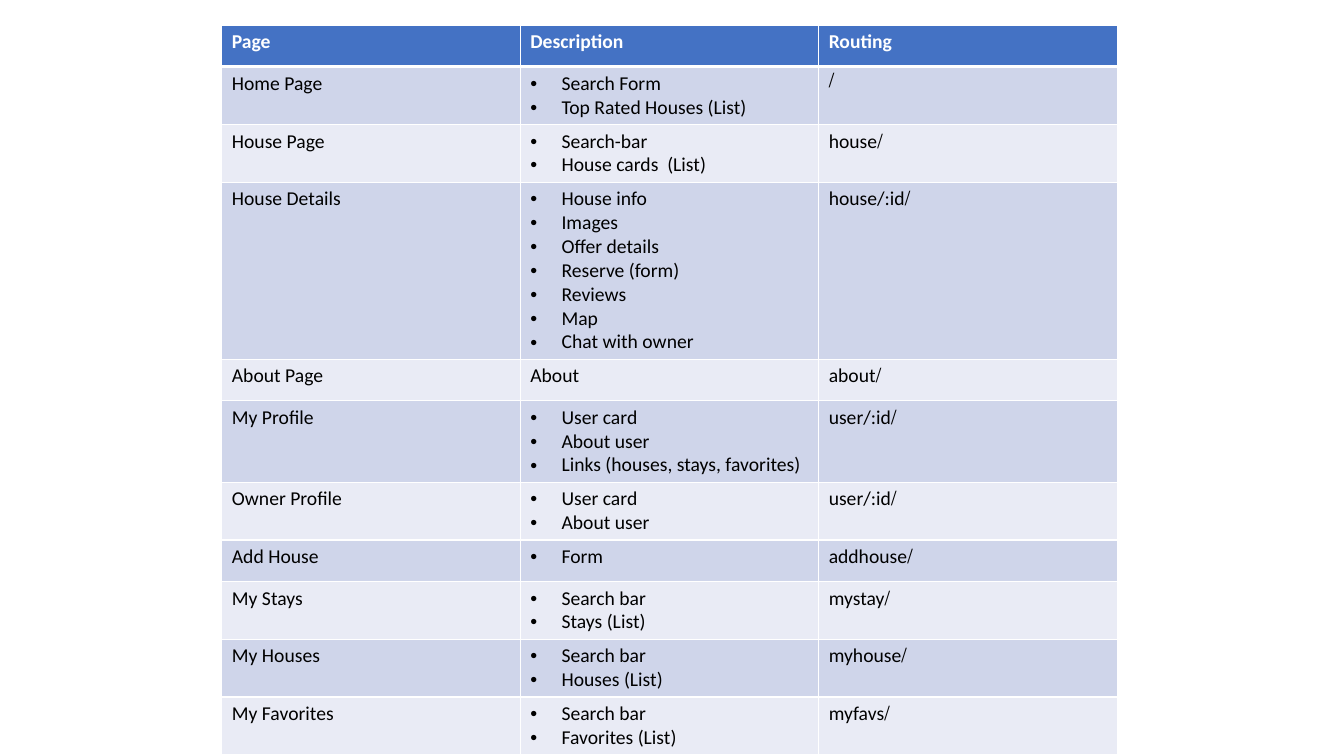
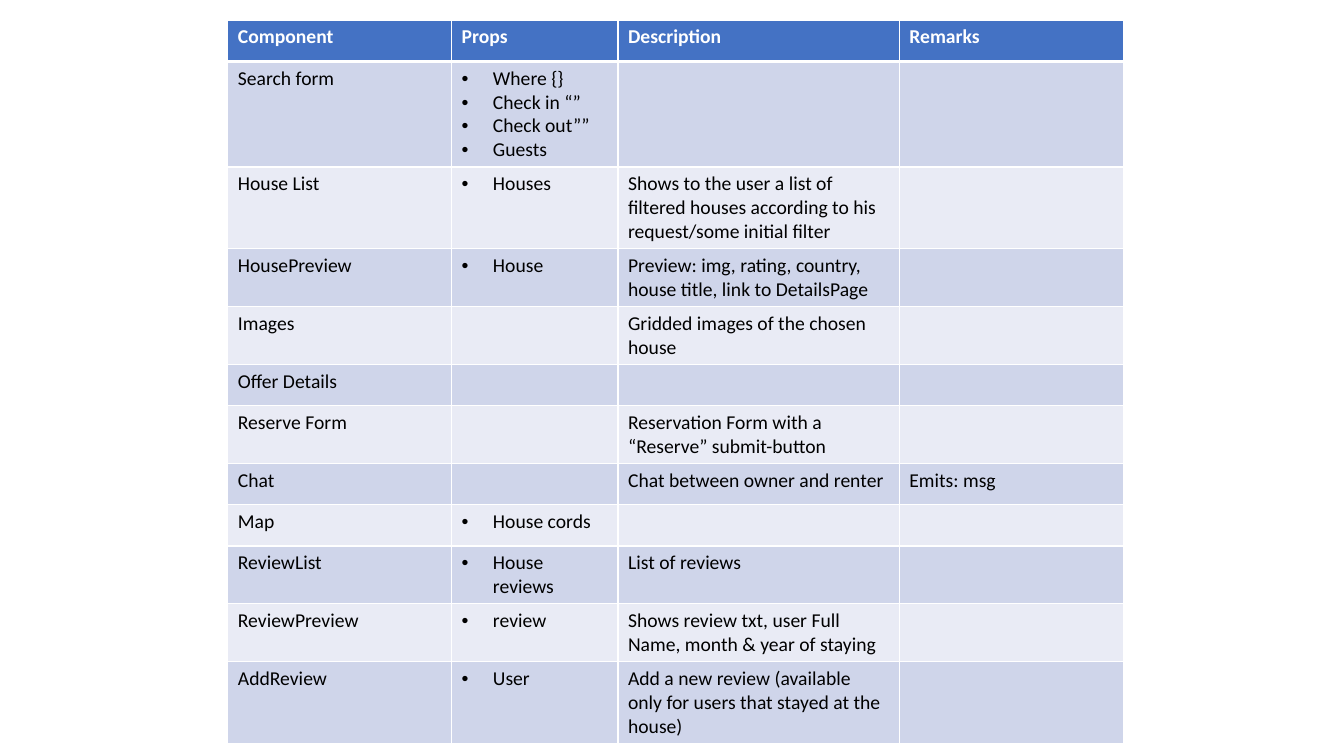
import pptx
import pptx.dml.color
import pptx.enum.text
import pptx.oxml
import pptx.oxml.ns
import pptx.util
from pptx.dml.color import RGBColor
from pptx.util import Inches

WHITE = RGBColor(0xFF, 0xFF, 0xFF)
BLACK = RGBColor(0x00, 0x00, 0x00)
HEADER_BLUE = RGBColor(0x44, 0x72, 0xC4)
BAND_DARK = RGBColor(0xCF, 0xD5, 0xEA)
BAND_LIGHT = RGBColor(0xE9, 0xEB, 0xF5)

ROW_HEIGHT = 0.41
BULLET_INDENT = Inches(0.31)

PAGE_ROWS = [
    ("Page", "Description", "Routing"),
    ("Home Page", ["Search Form", "Top Rated Houses (List)"], "/"),
    ("House Page", ["Search-bar", "House cards  (List)"], "/house"),
    ("House Details",
     ["House info", "Images", "Offer details", "Reserve (form)", "Reviews",
      "Map", "Chat with owner"],
     "/house/:id"),
    ("About Page", "About", "/about"),
    ("My Profile",
     ["User card", "About user", "Links (houses, stays, favorites)"],
     "/user/:id"),
    ("Owner Profile", ["User card", "About user"], "/user/:id"),
    ("Add House", ["Form"], "/addhouse"),
    ("My Stays", ["Search bar", "Stays (List)"], "/mystay"),
    ("My Houses", ["Search bar", "Houses (List)"], "/myhouse"),
    ("My Favorites", ["Search bar", "Favorites (List)"], "/myfavs"),
]

COMPONENT_ROWS = [
    ("Component", "Props", "Description", "Remarks"),
    ("Search form",
     ["Where {}", "Check in “”", "Check out””", "Guests"], "", ""),
    ("House List", ["Houses"],
     "Shows to the user a list of filtered houses according to his "
     "request/some initial filter", ""),
    ("HousePreview", ["House"],
     "Preview: img, rating, country, house title, link to DetailsPage", ""),
    ("Images", "", "Gridded images of the chosen house", ""),
    ("Offer Details", "", "", ""),
    ("Reserve Form", "",
     "Reservation Form with a “Reserve” submit-button", ""),
    ("Chat", "", "Chat between owner and renter", "Emits: msg"),
    ("Map", ["House cords"], "", ""),
    ("ReviewList", ["House reviews"], "List of reviews", ""),
    ("ReviewPreview", ["review"],
     "Shows review txt, user Full Name, month & year of staying", ""),
    ("AddReview", ["User"],
     "Add a new review (available only for users that stayed at the house)",
     ""),
]


class SpecDeck:
    body_format = {"name": "Calibri", "size": pptx.util.Pt(14), "bold": False}
    header_format = {**body_format, "bold": True}

    def __init__(self):
        self.presentation = pptx.Presentation()
        self.presentation.slide_width = Inches(13.33)
        self.presentation.slide_height = Inches(7.5)
        self.slide = None

    def add_slide(self):
        blank_layout = self.presentation.slide_layouts[6]
        self.slide = self.presentation.slides.add_slide(blank_layout)

    def add_spec_table(self, left, top, widths, rows):
        table = self.slide.shapes.add_table(
            len(rows), len(widths), Inches(left), Inches(top),
            Inches(sum(widths)), Inches(ROW_HEIGHT * len(rows))).table
        for column, width in zip(table.columns, widths):
            column.width = Inches(width)
        for row_index, contents in enumerate(rows):
            for column_index, content in enumerate(contents):
                self.fill_cell(table.cell(row_index, column_index),
                               content, row_index)

    def fill_cell(self, cell, content, row_index):
        is_header = row_index == 0
        self.set_borders(cell, {
            "L": 1, "R": 1,
            "T": 3 if row_index == 1 else 1,
            "B": 3 if is_header else 1,
        })
        band = BAND_DARK if row_index % 2 else BAND_LIGHT
        cell.fill.solid()
        cell.fill.fore_color.rgb = HEADER_BLUE if is_header else band
        if not content:
            return
        bulleted = isinstance(content, list)
        lines = content if bulleted else [content]
        for line_index, line in enumerate(lines):
            paragraph = (cell.text_frame.add_paragraph() if line_index
                         else cell.text_frame.paragraphs[0])
            self.write_line(paragraph, line, bulleted, is_header)

    def write_line(self, paragraph, line, bulleted, is_header):
        paragraph.alignment = pptx.enum.text.PP_ALIGN.LEFT
        properties = paragraph._p.get_or_add_pPr()
        if bulleted:
            properties.set("marL", str(BULLET_INDENT))
            properties.set("indent", str(-BULLET_INDENT))
            bullet_font = properties.makeelement(
                pptx.oxml.ns.qn("a:buFont"), {"typeface": "Arial"})
            bullet = properties.makeelement(
                pptx.oxml.ns.qn("a:buChar"), {"char": "•"})
            properties.extend([bullet_font, bullet])
        else:
            properties.set("rtl", "1")
        run = paragraph.add_run()
        run.text = line
        text_format = self.header_format if is_header else self.body_format
        for attribute, value in text_format.items():
            setattr(run.font, attribute, value)
        run.font.color.rgb = WHITE if is_header else BLACK

    def set_borders(self, cell, border_widths):
        properties = cell._tc.get_or_add_tcPr()
        for side, width in border_widths.items():
            properties.append(pptx.oxml.parse_xml(
                f'<a:ln{side} {pptx.oxml.ns.nsdecls("a")} '
                f'w="{pptx.util.Pt(width)}"><a:solidFill>'
                f'<a:srgbClr val="{WHITE}"/></a:solidFill></a:ln{side}>'))


def main():
    deck = SpecDeck()
    deck.add_slide()
    deck.add_spec_table(2.2, 0.25, [2.96] * 3, PAGE_ROWS)
    deck.add_slide()
    deck.add_spec_table(2.26, 0.2, [2.22, 1.65, 2.79, 2.22], COMPONENT_ROWS)
    deck.presentation.save("out.pptx")


if __name__ == "__main__":
    main()
